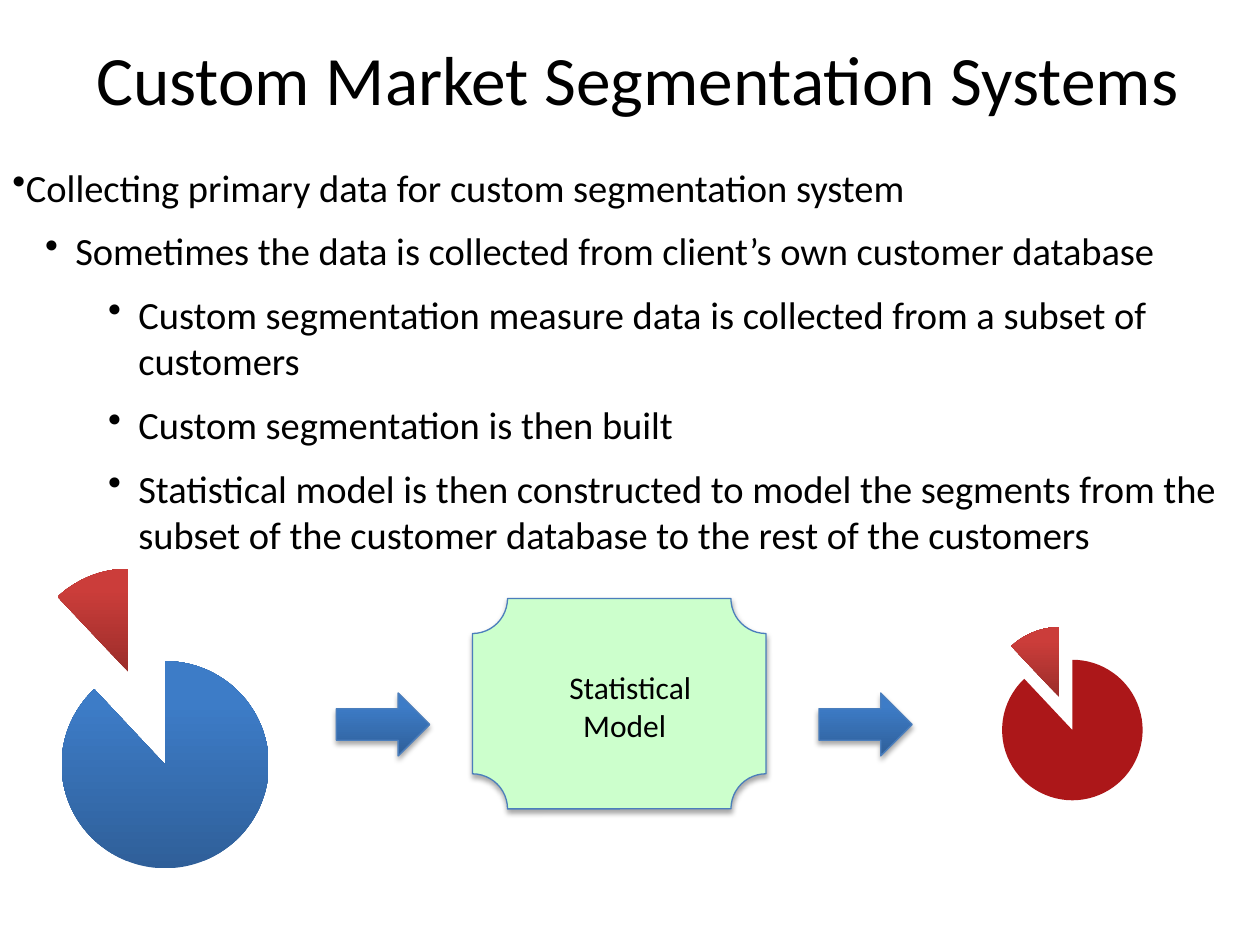
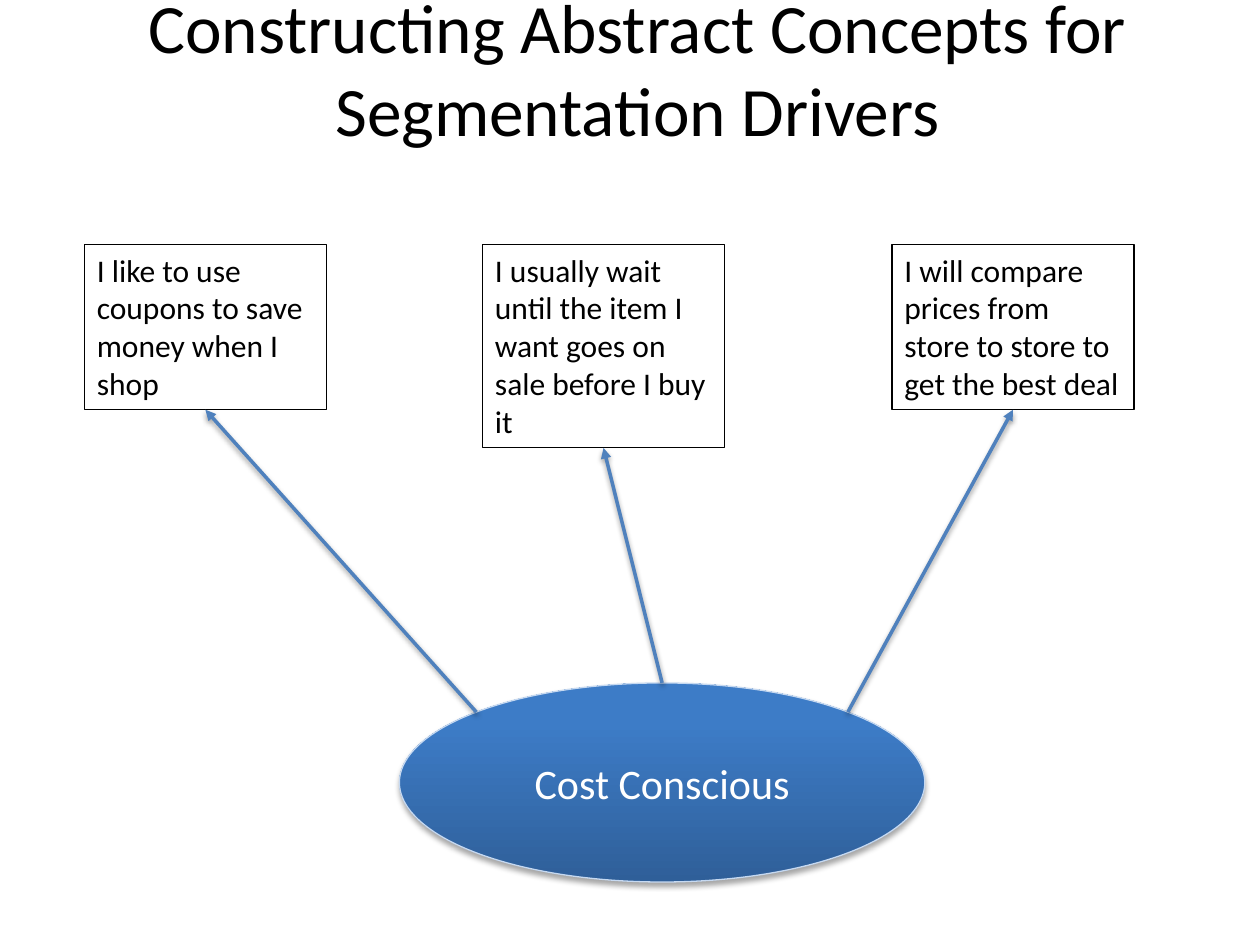
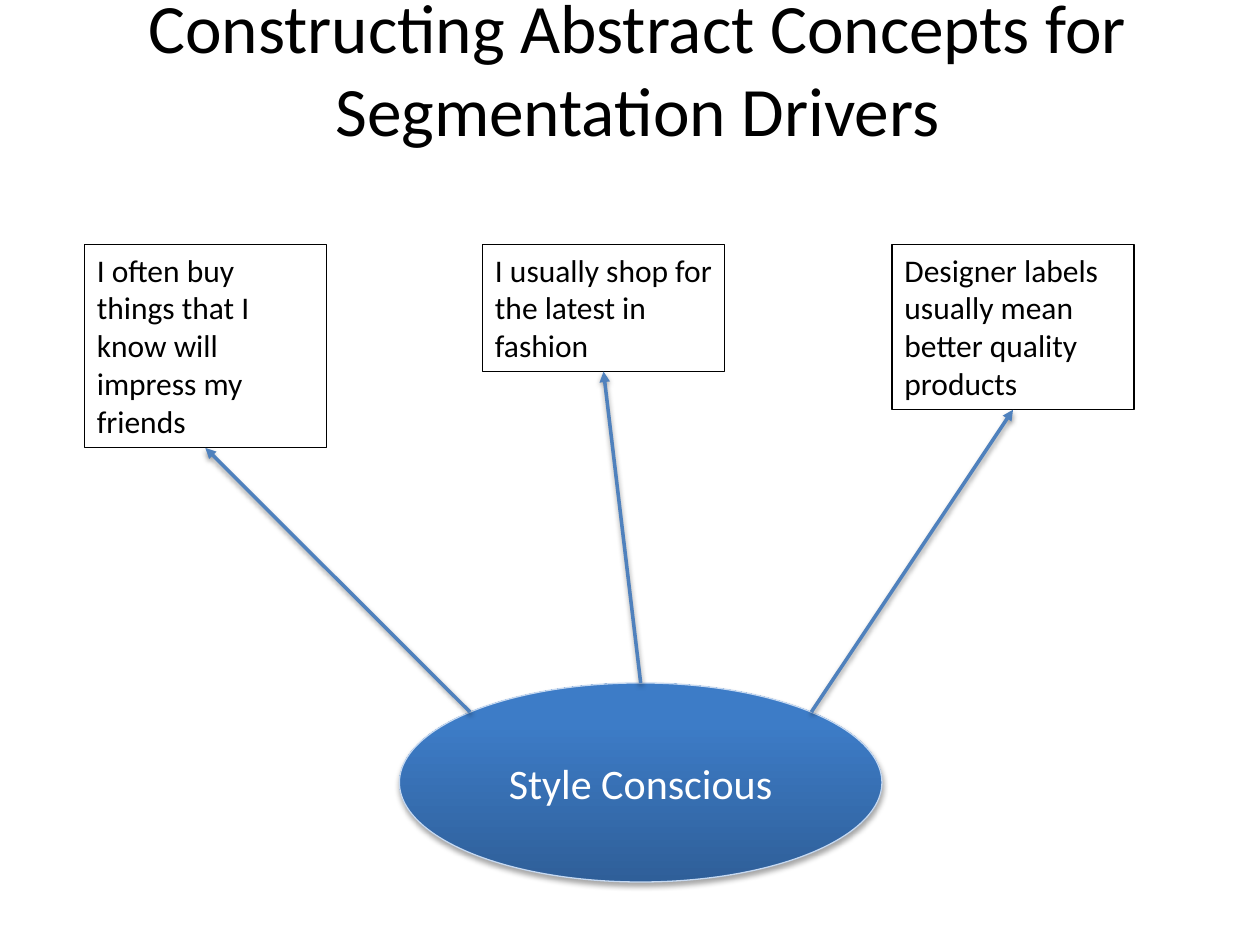
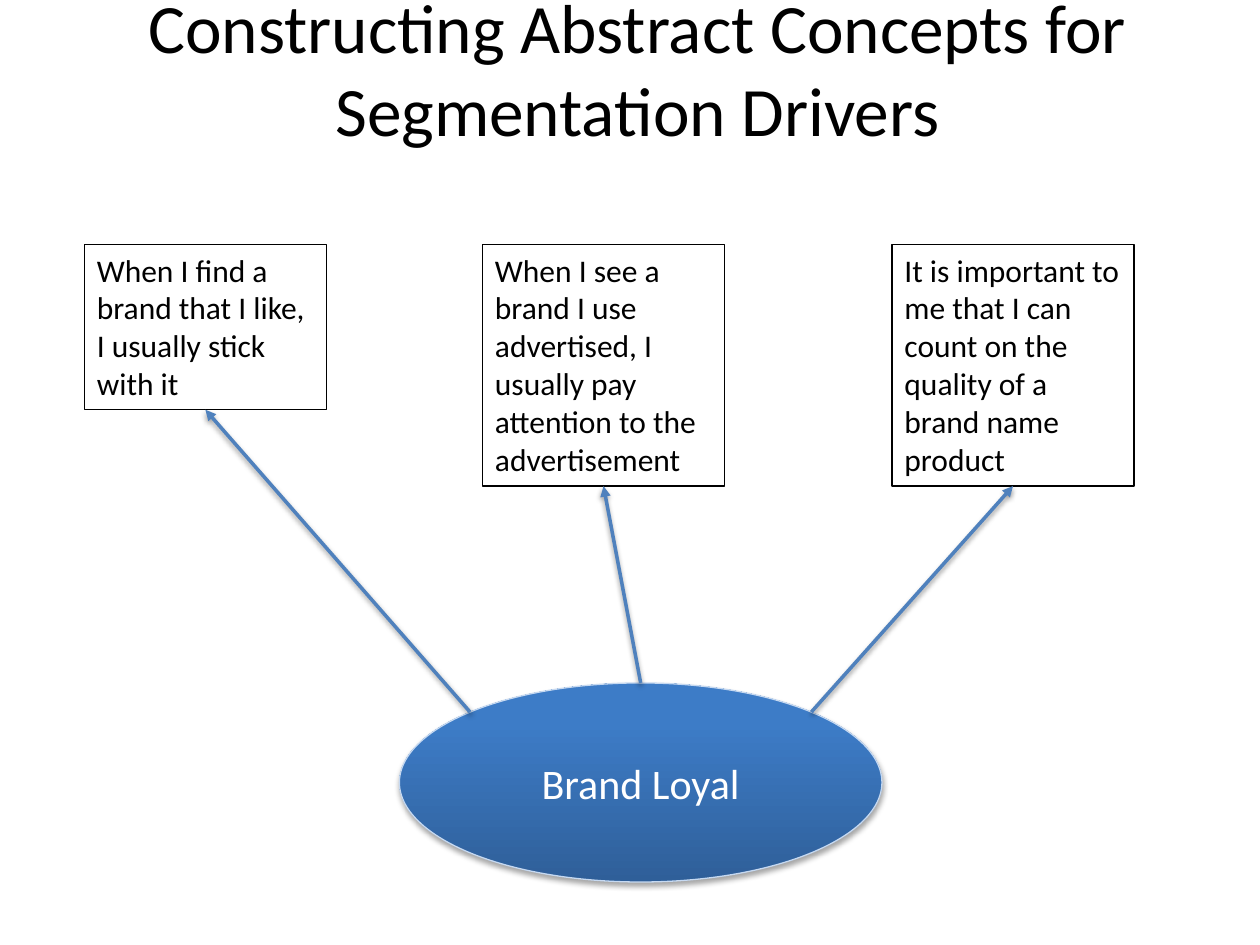
from math import sqrt

from lxml.etree import SubElement
from pptx import Presentation
from pptx.chart.data import CategoryChartData as ChartData
from pptx.dml.color import RGBColor
from pptx.enum.chart import XL_CHART_TYPE as Chart
from pptx.enum.shapes import MSO_CONNECTOR as Link, MSO_SHAPE as Kind
from pptx.enum.text import MSO_ANCHOR as Anchor, MSO_AUTO_SIZE as Fit, PP_ALIGN as Align
from pptx.oxml.ns import qn
from pptx.util import Inches, Pt

FACE = "Calibri"
BLACK = RGBColor(0, 0, 0)
WHITE = RGBColor(255, 255, 255)
MINT = RGBColor(0xCC, 0xFF, 0xCC)
EDGE = RGBColor(0x4B, 0x7E, 0xBC)
PALE = RGBColor(0xC6, 0xD9, 0xF1)
STEEL = RGBColor(0x4F, 0x81, 0xBD)
CRIMSON = RGBColor(0xAC, 0x17, 0x19)
BLUES = RGBColor(0x2F, 0x5F, 0x99), RGBColor(0x3D, 0x7C, 0xC7)
REDS = RGBColor(0x9B, 0x2D, 0x2A), RGBColor(0xCB, 0x3D, 0x3A)

POINTS = [
    (0, "Collecting primary data for custom segmentation system"),
    (1, "Sometimes the data is collected from client’s own customer database"),
    (2, "Custom segmentation measure data is collected from a subset of customers"),
    (2, "Custom segmentation is then built"),
    (2, "Statistical model is then constructed to model the segments from the "
        "subset of the customer database to the rest of the customers"),
]

# Driver, oval width, then each statement with its number of lines
DRIVERS = [
    ("Cost Conscious", 4.17, [
        ("I like to use coupons to save money when I shop", 4),
        ("I usually wait until the item I want goes on sale before I buy it", 5),
        ("I will compare prices from store to store to get the best deal", 4)]),
    ("Style Conscious", 3.83, [
        ("I often buy things that I know will impress my friends", 5),
        ("I usually shop for the latest in fashion", 3),
        ("Designer labels usually mean better quality products", 4)]),
    ("Brand Loyal", 3.83, [
        ("When I find a brand that I like, I usually stick with it", 4),
        ("When I see a brand I use advertised, I usually pay attention to "
         "the advertisement", 6),
        ("It is important to me that I can count on the quality of a brand "
         "name product", 6)]),
]


def place(*sizes):
    return [Inches(size) for size in sizes]


def set_font(font, size, color=BLACK):
    font.name, font.size, font.color.rgb = FACE, Pt(size), color


def paint(fill, color):
    """Fill with one colour, or with a (bottom, top) pair as a gradient."""
    if isinstance(color, RGBColor):
        fill.solid()
        fill.fore_color.rgb = color
        return
    fill.gradient()
    fill.gradient_angle = 90
    for stop, shade, spot in zip(fill.gradient_stops, color, (0, 0.8)):
        stop.color.rgb, stop.position = shade, spot


def add_shadow(shape, alpha=35, drop=1.8):
    effects = SubElement(shape._element.spPr, qn("a:effectLst"))
    outer = SubElement(effects, qn("a:outerShdw"), blurRad=str(Pt(3.1)),
                       dist=str(Pt(drop)), dir="5400000", rotWithShape="0")
    tone = SubElement(outer, qn("a:srgbClr"), val=str(BLACK))
    SubElement(tone, qn("a:alpha"), val=str(alpha * 1000))


def add_text(slide, box, lines, size, align=Align.LEFT):
    shape = slide.shapes.add_textbox(*place(*box))
    frame = shape.text_frame
    frame.word_wrap = True
    frame.text = "\n".join(lines)
    for para in frame.paragraphs:
        para.alignment = align
        set_font(para.font, size)
    return shape


def add_title(slide, text, top):
    shape = add_text(slide, (0, top, 10.12, 0.57), [text], 39.6, Align.CENTER)
    shape.text_frame.vertical_anchor = Anchor.MIDDLE


def add_points(slide):
    box = add_text(slide, (0, 1.25, 10, 3.25), [text for _, text in POINTS], 22)
    for para, (level, _) in zip(box.text_frame.paragraphs, POINTS):
        para.level = level
        para.space_after = Pt(10)
        props = para._p.get_or_add_pPr()
        props.set("marL", str(Inches(level / 2)))
        props.set("indent", str(Inches(-0.24 if level else 0)))
        bullet = props.makeelement(qn("a:buChar"), {"char": "•"})
        props.find(qn("a:defRPr")).addprevious(bullet)


def add_form(slide, kind, box, fill, edge=EDGE):
    shape = slide.shapes.add_shape(kind, *place(*box))
    paint(shape.fill, fill)
    shape.line.color.rgb, shape.line.width = edge, Pt(0.75)
    add_shadow(shape)
    return shape


def add_pie(slide, box, fills, burst, layout=None):
    data = ChartData()
    data.categories = ["1", "2"]
    data.add_series("Series 1", (88, 12))
    chart = slide.shapes.add_chart(Chart.PIE, *place(*box), data).chart
    chart.has_title = chart.has_legend = False
    set_font(chart.font, 18)
    plot = chart.plots[0]
    plot.vary_by_categories = True
    series = plot.series[0]
    ser = series._element
    gap = ser.makeelement(qn("c:explosion"), {"val": str(burst)})
    ser.find(qn("c:tx")).addnext(gap)
    for spot, fill in enumerate(fills):
        paint(series.points[spot].format.fill, fill)
    if layout:
        set_layout(chart, layout)


def set_layout(chart, layout):
    area = chart._chartSpace.chart.plotArea
    for old in area.findall(qn("c:layout")):
        area.remove(old)
    frame = area.makeelement(qn("c:layout"), {})
    area.insert(0, frame)
    manual = SubElement(frame, qn("c:manualLayout"))
    names = "layoutTarget", "xMode", "yMode", "x", "y", "w", "h"
    for name, val in zip(names, ("inner", "edge", "edge", *layout)):
        SubElement(manual, qn("c:" + name), val=str(val))


def add_arrow(slide, start, box):
    """Draw an arrow from a point to the bottom of a box."""
    link = slide.shapes.add_connector(Link.STRAIGHT, *start, *start)
    link.end_connect(box, 2)
    link.line.color.rgb, link.line.width = STEEL, Pt(2)
    SubElement(link._element.spPr.find(qn("a:ln")), qn("a:tailEnd"), type="triangle")
    add_shadow(link, 38, 1.6)
    return link


def add_claim(slide, left, text, lines):
    box = add_text(slide, (left, 1.94, 1.92, 0.1 + 0.303 * lines), [text], 18)
    box.text_frame.auto_size = Fit.SHAPE_TO_FIT_TEXT
    box.line.color.rgb, box.line.width = BLACK, Pt(0.75)
    return box


def add_oval(slide, text, width):
    oval = add_form(slide, Kind.OVAL, (3.17, 5.42, width, 1.58), BLUES, PALE)
    frame = oval.text_frame
    frame.text = text
    frame.vertical_anchor = Anchor.MIDDLE
    para = frame.paragraphs[0]
    para.alignment = Align.CENTER
    set_font(para.font, 24, WHITE)
    return oval


def build_system(slide):
    add_title(slide, "Custom Market Segmentation Systems", 0.33)
    add_points(slide)
    add_pie(slide, (-0.67, 4.17, 5.33, 2.75), (BLUES, REDS), 48,
            (0.06, 0.115, 0.569, 0.885))
    add_pie(slide, (6.92, 4.83, 3.08, 1.67), (CRIMSON, REDS), 25)
    add_form(slide, Kind.PLAQUE, (3.75, 4.75, 2.33, 1.67), MINT)
    label = add_text(slide, (4.42, 5.25, 1.67, 0.71), ["Statistical", "Model"], 18)
    model = label.text_frame.paragraphs[1]
    model._p.get_or_add_pPr().set("marL", str(Inches(0.11)))
    for left in (2.67, 6.5):
        add_form(slide, Kind.RIGHT_ARROW, (left, 5.5, 0.74, 0.5), BLUES)


def build_driver(slide, name, width, claims):
    add_title(slide, "Constructing Abstract Concepts for Segmentation Drivers", 0.25)
    boxes = [add_claim(slide, left, *claim)
             for left, claim in zip((0.67, 3.83, 7.08), claims)]
    oval = add_oval(slide, name, width)
    mid = oval.left + oval.width // 2
    reach = int(oval.width / sqrt(8))
    shoulder = oval.top + int(oval.height * (0.5 - 1 / sqrt(8)))
    add_arrow(slide, (mid - reach, shoulder), boxes[0])
    add_arrow(slide, (mid, oval.top), boxes[1]).begin_connect(oval, 0)
    add_arrow(slide, (mid + reach, shoulder), boxes[2])


def main():
    deck = Presentation()
    deck.slide_width, deck.slide_height = place(10, 7.5)
    blank = deck.slide_layouts[6]
    build_system(deck.slides.add_slide(blank))
    for driver in DRIVERS:
        build_driver(deck.slides.add_slide(blank), *driver)
    deck.save("out.pptx")


if __name__ == "__main__":
    main()
